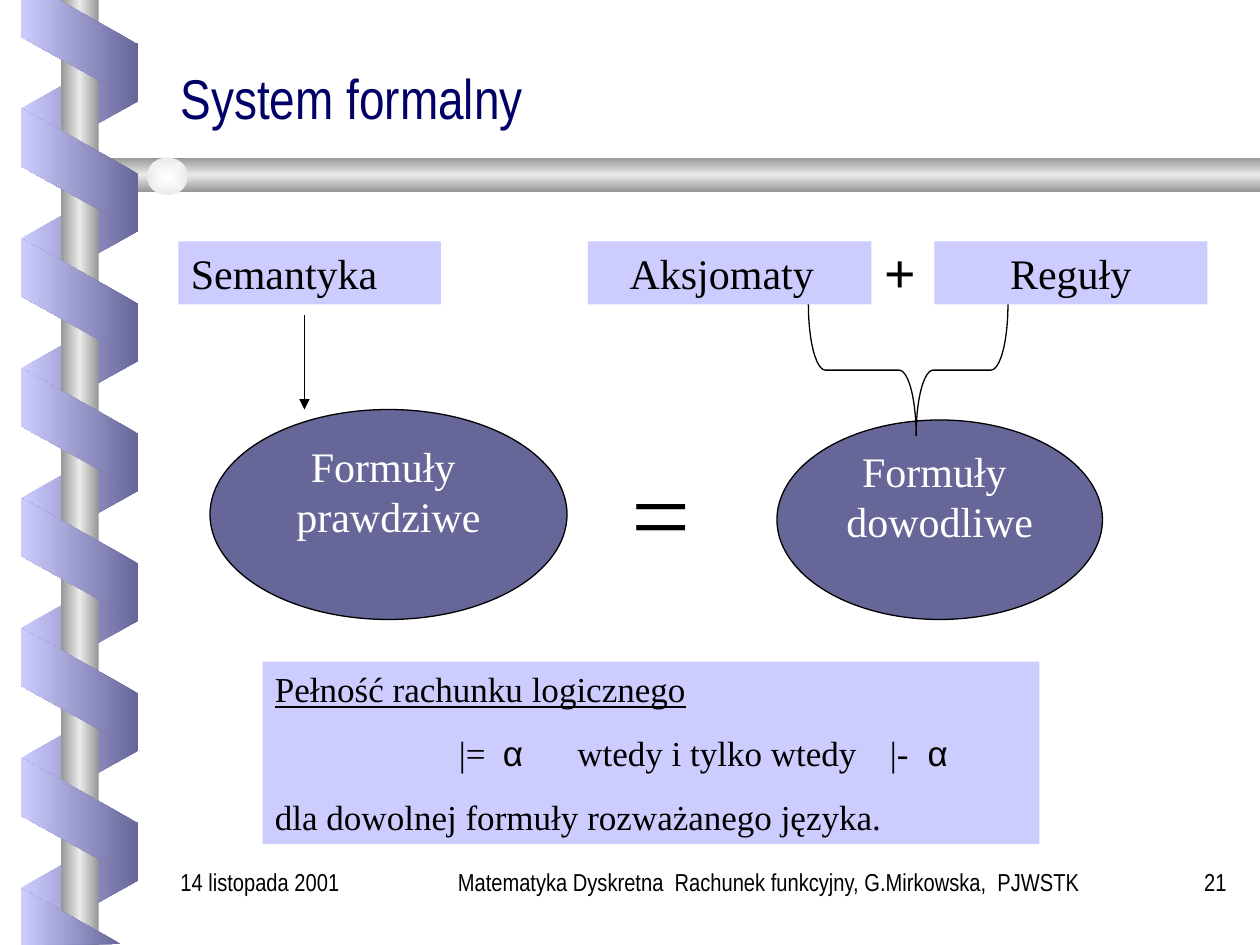
from collections import namedtuple

from lxml import etree
from pptx import Presentation
from pptx.dml.color import RGBColor
from pptx.enum.shapes import MSO_CONNECTOR, MSO_SHAPE
from pptx.enum.text import MSO_ANCHOR, MSO_AUTO_SIZE, PP_ALIGN
from pptx.oxml import parse_xml
from pptx.oxml.ns import nsdecls, qn
from pptx.util import Inches, Pt

# The page is a grid of 120 columns by 90 rows of square cells
CELL = Inches(10) // 120
Box = namedtuple("Box", "left top width height")
SERIF, NARROW, SANS = "Times New Roman", "Arial Narrow", "Arial"
BLACK, WHITE, NAVY = "000000", "FFFFFF", "000066"
LILAC, VIOLET = "CCCCFF", "666699"
METAL = ("969696", "EAEAEA", "969696")


def cells(count):
    return round(count * CELL)


def place(box):
    return [cells(length) for length in box]


def colour(value):
    return RGBColor.from_string(value)


def gradient(shape, colours, angle=None):
    """Fill evenly spaced colours at an angle, or from the centre without one."""
    step = 100000 // (len(colours) - 1)
    stops = "".join(f'<a:gs pos="{index * step}"><a:srgbClr val="{value}"/></a:gs>'
                    for index, value in enumerate(colours))
    if angle is None:
        way = ('<a:path path="rect"><a:fillToRect l="50000" t="50000" '
               'r="50000" b="50000"/></a:path>')
    else:
        way = f'<a:lin ang="{angle * 60000}" scaled="1"/>'
    shape.fill.background()
    plain = shape._element.spPr.find(qn("a:noFill"))
    plain.getparent().replace(plain, parse_xml(
        f'<a:gradFill {nsdecls("a")} rotWithShape="0">'
        f'<a:gsLst>{stops}</a:gsLst>{way}</a:gradFill>'))


def outline(shape, line=None):
    shape.shadow.inherit = False
    if line:
        shape.line.color.rgb = colour(line)
        shape.line.width = Pt(0.75)
    else:
        shape.line.fill.background()


def add_preset(page, kind, box, line=None):
    shape = page.shapes.add_shape(kind, *place(box))
    outline(shape, line)
    return shape


def add_outline(page, box, points):
    """Closed outline whose points are cells from the corner of the box."""
    spots = [(cells(box.left + x), cells(box.top + y)) for x, y in points]
    builder = page.shapes.build_freeform(*spots[0], scale=1.0)
    builder.add_line_segments(spots[1:], close=True)
    shape = builder.convert_to_shape()
    outline(shape)
    return shape


def style(para, size, font=SERIF, value=BLACK, bold=False):
    for span in para.runs:
        span.font.size, span.font.name = Pt(size), font
        span.font.bold = bold
        span.font.color.rgb = colour(value)


def write(shape, text, size, font=SERIF, value=BLACK, align=PP_ALIGN.LEFT,
          anchor=MSO_ANCHOR.TOP, indent=0, bold=False):
    frame = shape.text_frame
    frame.text = text
    frame.word_wrap = True
    frame.vertical_anchor = anchor
    frame.margin_left = Inches(0.1 + indent)
    for para in frame.paragraphs:
        para.alignment = align
        style(para, size, font, value, bold)
    return frame


def add_label(page, box, text, size, **options):
    return write(page.shapes.add_textbox(*place(box)), text, size, **options)


def add_panel(page, box, text, size, **options):
    panel = add_preset(page, MSO_SHAPE.RECTANGLE, box)
    panel.fill.solid()
    panel.fill.fore_color.rgb = colour(LILAC)
    return write(panel, text, size, **options)


def ribbon(page, box, first_top, count, rotation, colours, flip=False):
    for turn in range(count):
        band = add_preset(page, MSO_SHAPE.PARALLELOGRAM, Box(
            box.left - 0.3, box.top + first_top + turn * 12.37, 11.76, 11.16))
        band.adjustments[0] = 0.56
        band.rotation = rotation
        if flip:
            band._element.spPr.find(qn("a:xfrm")).set("flipH", "1")
        gradient(band, colours, 180)


def spiral_binding(page, box):
    # Back turns, pole and crossbar
    ribbon(page, box, 4.4, 7, 90, (LILAC, VIOLET), flip=True)
    pole = add_preset(page, MSO_SHAPE.RECTANGLE,
                      Box(box.left + 3.8, box.top, 3.6, box.height))
    gradient(pole, METAL, 180)
    crossbar = add_outline(page, Box(7.2, 15, 112.8, 3.3), [
        (112.8, 0), (1.9, 0), (0, 1.65), (1.9, 3.3), (112.8, 3.3)])
    gradient(crossbar, METAL, 90)
    knob = add_preset(page, MSO_SHAPE.OVAL, Box(14, 15, 3.9, 3.6))
    gradient(knob, ("FEFFFF", "EAEAEA"))
    # Front turns, with the cut turns at the top and bottom edges
    front = (VIOLET, LILAC)
    ribbon(page, box, 10.6, 6, 270, front)
    top_turn = [(0, 0), (0, 3.5), (11.1, 9.7), (11.1, 4.2), (3.6, 0)]
    bottom_turn = [(9.5, 89.9), (0, 84.6), (0, 90)]
    for points in (top_turn, bottom_turn):
        gradient(add_outline(page, box, points), front, 180)


def heading(page, box, text):
    title = page.shapes.title
    title.left, title.top, title.width, title.height = place(box)
    frame = write(title, text, 32, font=NARROW, value=NAVY, anchor=MSO_ANCHOR.BOTTOM)
    frame.auto_size = MSO_AUTO_SIZE.NONE
    frame.paragraphs[0].line_spacing = 0.8


def formula_set(page, box, text):
    ellipse = add_preset(page, MSO_SHAPE.OVAL, box, line=BLACK)
    ellipse.fill.solid()
    ellipse.fill.fore_color.rgb = colour(VIOLET)
    frame = write(ellipse, text, 24, value=WHITE, align=PP_ALIGN.CENTER,
                  anchor=MSO_ANCHOR.MIDDLE)
    frame.word_wrap = False
    frame.margin_bottom = Inches(0.43)


def semantics(page, box):
    add_panel(page, Box(box.left, box.top, 25, 6), "Semantyka", 24)
    formula_set(page, Box(box.left + 3, box.top + 16, 34, 20), "Formuły \vprawdziwe")
    x = cells(box.left + 12)
    arrow = page.shapes.add_connector(
        MSO_CONNECTOR.STRAIGHT, x, cells(box.top + 7), x, cells(box.top + 16))
    arrow.line.color.rgb = colour(BLACK)
    arrow.line.width = Pt(0.75)
    etree.SubElement(arrow.line._get_or_add_ln(), qn("a:tailEnd"), type="triangle")
    etree.SubElement(arrow._element.spPr, qn("a:effectLst"))


def proof_system(page, box):
    add_panel(page, Box(box.left, box.top, 27, 6), "Aksjomaty", 24, indent=0.23)
    add_label(page, Box(box.left + 27, box.top - 1, 8, 7.7), "+", 32, bold=True)
    add_panel(page, Box(box.left + 33, box.top, 26, 6), "Reguły", 24, indent=0.5)
    formula_set(page, Box(box.left + 18, box.top + 17, 31, 19), "Formuły \vdowodliwe")
    brace = add_preset(page, MSO_SHAPE.LEFT_BRACE,
                       Box(box.left + 24.25, box.top + 2.75, 12.5, 19), line=BLACK)
    brace.fill.background()
    brace.rotation = 270
    brace.adjustments[0], brace.adjustments[1] = 0.13, 0.54


def completeness(page, box):
    frame = add_panel(page, box, "Pełność rachunku logicznego", 20)
    frame.paragraphs[0].runs[0].font.underline = True
    formula, closing = frame.add_paragraph(), frame.add_paragraph()
    tabs = etree.SubElement(formula._p.get_or_add_pPr(), qn("a:tabLst"))
    for stop in (1.46, 1.81, 2.4, 4.88, 5.18):
        etree.SubElement(tabs, qn("a:tab"), pos=str(Inches(stop)), algn="l")
    for text in ("\t|=\t", "α", "\twtedy i tylko wtedy\t|-\t", "α"):
        formula.add_run().text = text
    closing.text = "dla dowolnej formuły rozważanego języka."
    for para in (formula, closing):
        para.alignment = PP_ALIGN.LEFT
        para.space_before = Pt(12.5)
        style(para, 20)
    for span in formula.runs[1::2]:
        span.font.name = SANS


def footer(page, box):
    parts = ((0, 23, "14 listopada 2001", PP_ALIGN.LEFT),
             (24, 67, "Matematyka Dyskretna  Rachunek funkcyjny, G.Mirkowska,  PJWSTK ",
              PP_ALIGN.CENTER),
             (92, 10, "21", PP_ALIGN.RIGHT))
    for offset, width, text, align in parts:
        add_label(page, Box(box.left + offset, box.top, width, box.height),
                  text, 14, font=NARROW, align=align)


def main():
    deck = Presentation()
    deck.slide_width, deck.slide_height = cells(120), cells(90)
    page = deck.slides.add_slide(deck.slide_layouts[5])
    spiral_binding(page, Box(2, 0, 11.2, 90))
    heading(page, Box(16, 5.5, 102, 7.5), "System formalny")
    semantics(page, Box(17, 23, 37, 36))
    proof_system(page, Box(56, 23, 59, 36))
    add_label(page, Box(55, 42, 15, 13.2), "=", 60, indent=0.33)
    completeness(page, Box(25, 63, 74, 17.4))
    footer(page, Box(16, 82, 102, 6))
    deck.save("out.pptx")


if __name__ == "__main__":
    main()
